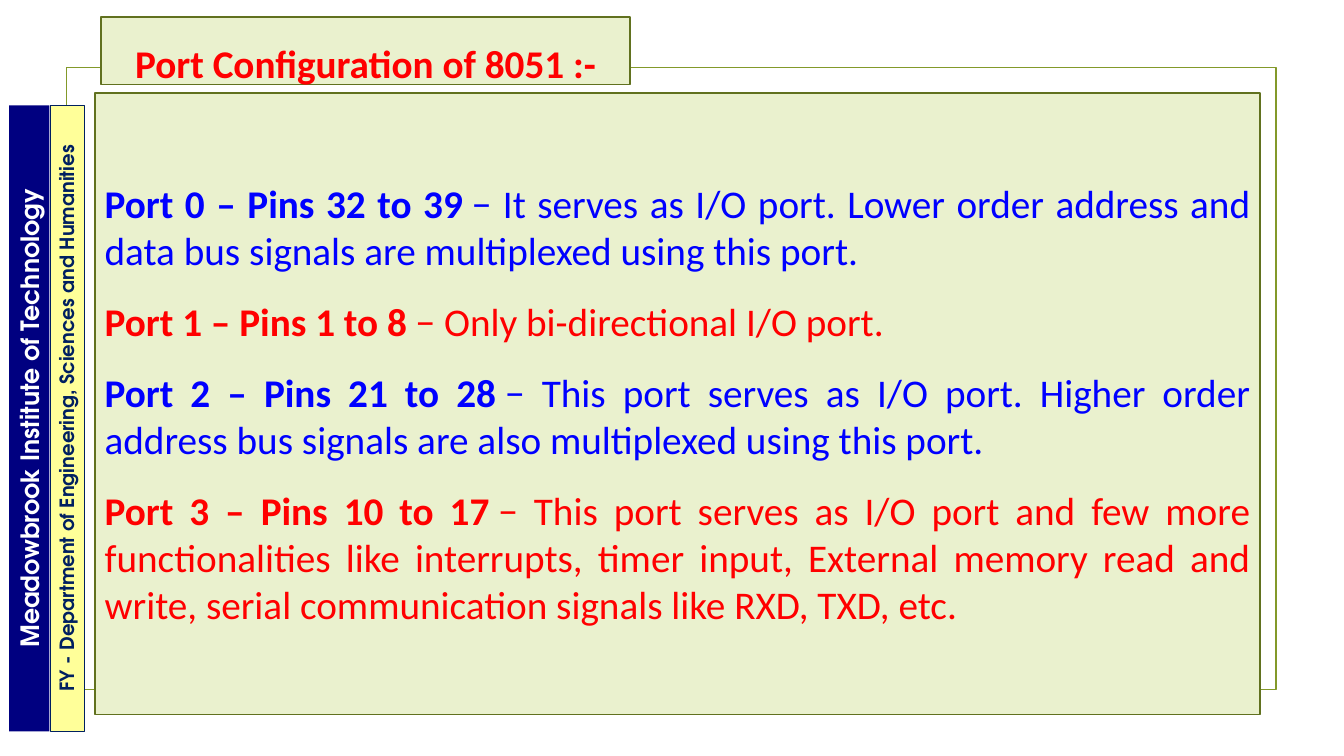
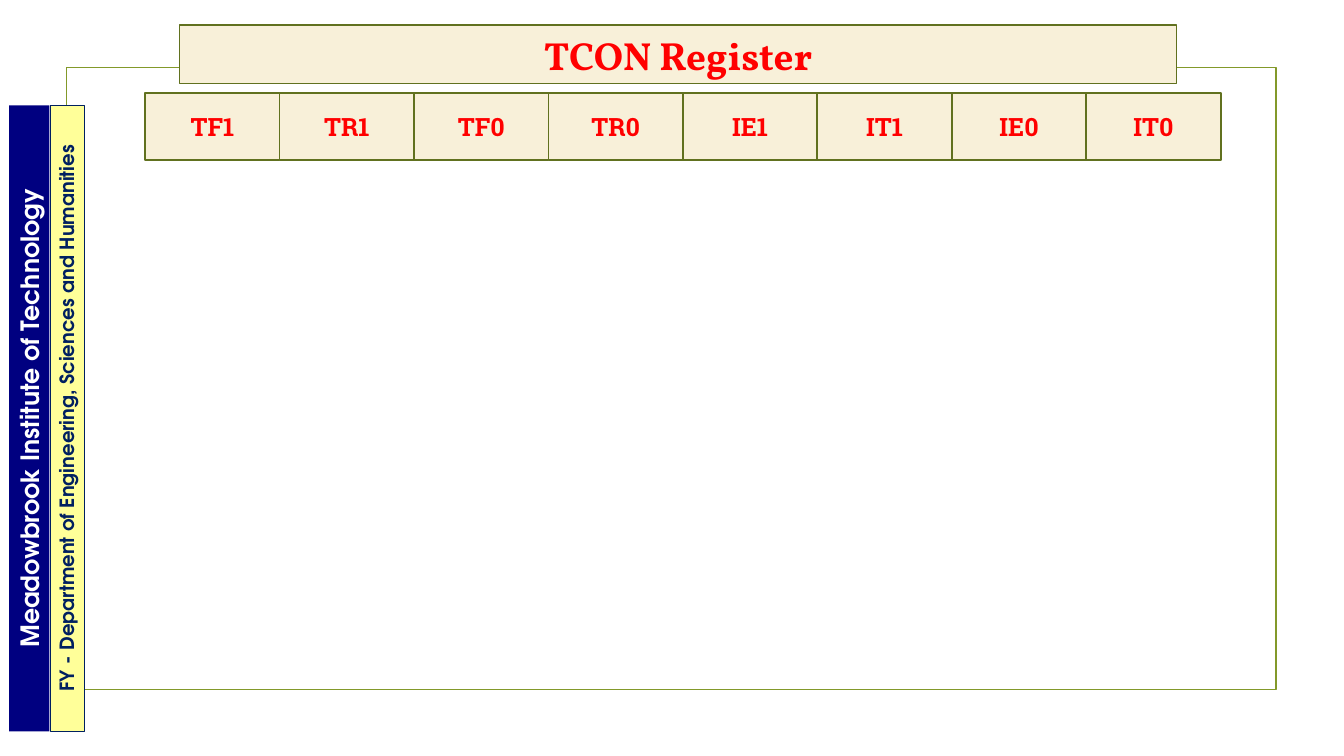
import pptx
import pptx.dml.color
import pptx.enum.shapes
import pptx.enum.text
import pptx.util

Inches = pptx.util.Inches
Align = pptx.enum.text.PP_ALIGN
Anchor = pptx.enum.text.MSO_ANCHOR

RED, BLUE, WHITE = "FF0000", "0000FF", "FFFFFF"
NAVY, INK, YELLOW = "000080", "002060", "FFFF99"
GREEN, CREAM = "EAF1CE", "F8F0D9"
OLIVE, FRAME_OLIVE = "61711F", "83992A"
BODY_FONT, TITLE_FONT = "Calibri", "Vollkorn"
CELL_FONT, BAND_FONT = "Roboto Slab", "TeX Gyre Adventor"

PORTS = [
    ("Port 0 – Pins 32 to 39",
     "\u00a0− It serves as I/O port. Lower order address and data bus "
     "signals are multiplexed using this port.", BLUE),
    ("Port 1 – Pins 1 to 8", "\u00a0− Only bi-directional I/O port.", RED),
    ("Port 2 – Pins 21 to 28",
     "\u00a0− This port serves as I/O port. Higher order address bus "
     "signals are also multiplexed using this port.", BLUE),
    ("Port 3 – Pins 10 to 17",
     "\u00a0− This port serves as I/O port and few more functionalities "
     "like interrupts, timer input, External memory read and write, "
     "serial communication signals like RXD, TXD, etc.", RED),
]
TCON_BITS = ["TF1", "TR1", "TF0", "TR0", "IE1", "IT1", "IE0", "IT0"]


def rgb(value):
    """Turn a hex string into a colour."""
    return pptx.dml.color.RGBColor.from_string(value)


def style_run(run, font, size, color, bold=True):
    """Set the font of one run."""
    run.font.name = font
    run.font.size = pptx.util.Pt(size)
    run.font.bold = bold
    run.font.color.rgb = rgb(color)


def add_box(slide, left, top, width, height, fill=None, line=OLIVE, weight=1.25):
    """Add a flat rectangle, placed in inches."""
    box = slide.shapes.add_shape(
        pptx.enum.shapes.MSO_SHAPE.RECTANGLE,
        Inches(left), Inches(top), Inches(width), Inches(height))
    box.shadow.inherit = False
    if fill:
        box.fill.solid()
        box.fill.fore_color.rgb = rgb(fill)
    else:
        box.fill.background()
    if line:
        box.line.color.rgb = rgb(line)
        box.line.width = pptx.util.Pt(weight)
    else:
        box.line.fill.background()
    return box


def add_label(box, text, font, size, color, spacing=None):
    """Write one centred bold line in a box."""
    frame = box.text_frame
    frame.word_wrap = True
    frame.vertical_anchor = Anchor.MIDDLE
    frame.text = text
    paragraph = frame.paragraphs[0]
    paragraph.alignment = Align.CENTER
    paragraph.line_spacing = spacing
    style_run(paragraph.runs[0], font, size, color)


def add_band(slide, center, width, text, size, color, fill, line=None):
    """Add a side band that reads upwards."""
    length, middle = 6.21, 4.15
    band = add_box(slide, center - length / 2, middle - width / 2,
                   length, width, fill, line, 0.75)
    band.rotation = 270
    add_label(band, text, BAND_FONT, size, color)
    band.text_frame.vertical_anchor = Anchor.TOP
    band.text_frame.auto_size = pptx.enum.text.MSO_AUTO_SIZE.SHAPE_TO_FIT_TEXT


def add_bands(slide):
    """Add the institute and department bands."""
    add_band(slide, 0.29, 0.4, "Meadowbrook Institute of Technology",
             18, WHITE, NAVY)
    add_band(slide, 0.67, 0.34,
             "FY - Department of Engineering, Sciences and Humanities",
             14, INK, YELLOW, INK)


def start_slide(deck):
    """Add a blank slide with the outer frame."""
    slide = deck.slides.add_slide(deck.slide_layouts[6])
    add_box(slide, 0.66, 0.67, 12, 6.17, line=FRAME_OLIVE)
    return slide


def add_port_list(slide):
    """Add the panel that describes each port."""
    panel = add_box(slide, 0.94, 0.92, 11.56, 6.17, GREEN)
    frame = panel.text_frame
    frame.word_wrap = True
    frame.vertical_anchor = Anchor.MIDDLE
    for index, (pins, purpose, color) in enumerate(PORTS):
        paragraph = frame.add_paragraph() if index else frame.paragraphs[0]
        paragraph.alignment = Align.JUSTIFY
        paragraph.space_before = pptx.util.Pt(17 if index else 0)
        for text, bold in ((pins, True), (purpose, False)):
            run = paragraph.add_run()
            run.text = text
            style_run(run, BODY_FONT, 28, color, bold)


def build_ports(deck):
    """Build the port configuration slide."""
    slide = start_slide(deck)
    add_port_list(slide)
    title = add_box(slide, 1, 0.17, 5.25, 0.67, GREEN)
    add_label(title, "Port Configuration of 8051 :-", BODY_FONT, 28, RED, 1.5)
    add_bands(slide)


def build_tcon(deck):
    """Build the TCON register slide."""
    slide = start_slide(deck)
    title = add_box(slide, 1.78, 0.25, 9.89, 0.58, CREAM)
    add_label(title, "TCON Register", TITLE_FONT, 28, RED)
    bit_width = 4 / 3
    for index, bit in enumerate(TCON_BITS):
        cell = add_box(slide, 1.44 + index * bit_width, 0.92,
                       bit_width, 0.67, CREAM)
        add_label(cell, bit, CELL_FONT, 18, RED)
    add_bands(slide)


def main():
    """Build and save the deck."""
    deck = pptx.Presentation()
    deck.slide_width = Inches(13.33)
    deck.slide_height = Inches(7.5)
    build_ports(deck)
    build_tcon(deck)
    deck.save("out.pptx")


main()
